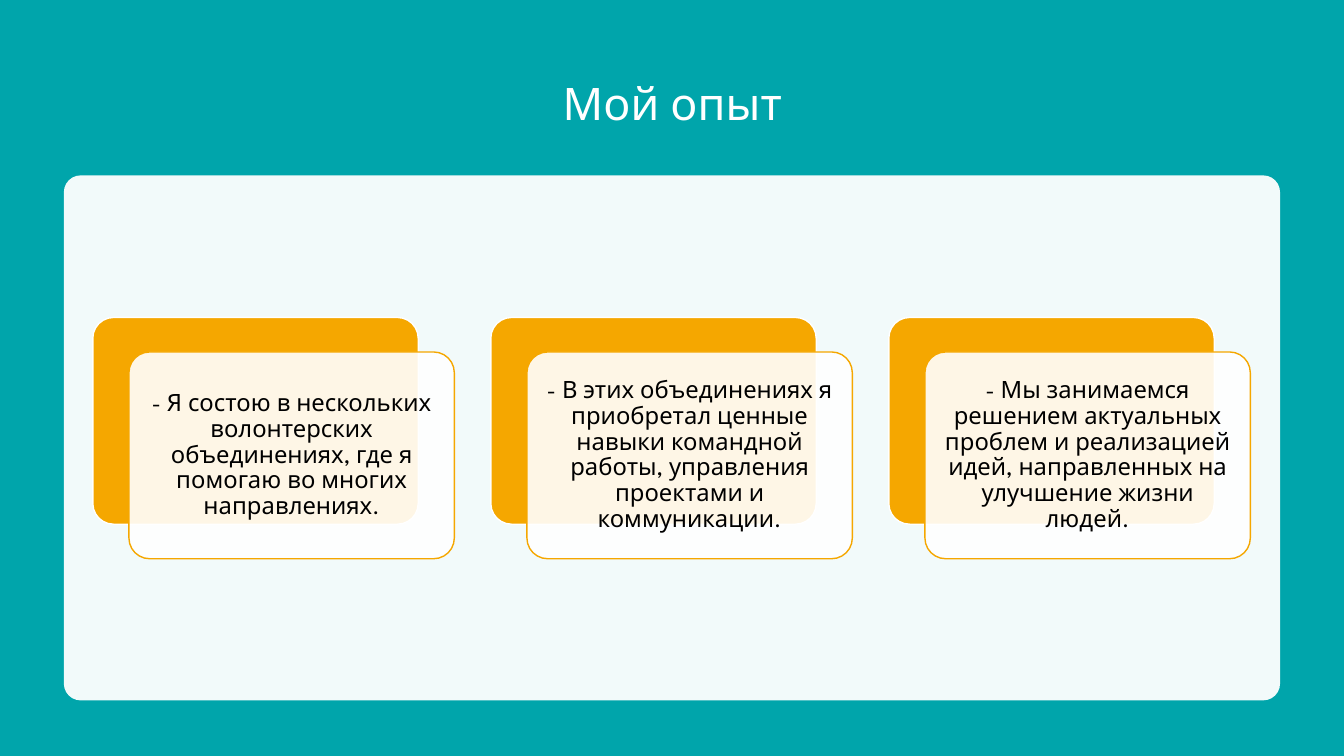
from dataclasses import dataclass

from lxml import etree
from pptx import Presentation
from pptx.dml.color import RGBColor
from pptx.enum.shapes import MSO_SHAPE
from pptx.enum.text import MSO_ANCHOR, MSO_AUTO_SIZE, PP_ALIGN
from pptx.oxml.ns import qn
from pptx.shapes.autoshape import Shape
from pptx.slide import Slide
from pptx.text.text import TextFrame
from pptx.util import Cm, Pt

ROUNDED = MSO_SHAPE.ROUNDED_RECTANGLE
MIDDLE = MSO_ANCHOR.MIDDLE
CENTER = PP_ALIGN.CENTER
NO_AUTOFIT = MSO_AUTO_SIZE.NONE

TEAL = RGBColor(0x00, 0xA5, 0xAB)
ORANGE = RGBColor(0xF5, 0xA7, 0x00)
WHITE = RGBColor(0xFF, 0xFF, 0xFF)
BLACK = RGBColor(0x00, 0x00, 0x00)
FONT = "League Spartan"

CARD_LEFT, CARD_TOP = 2.34, 8.0
CARD_WIDTH, CARD_HEIGHT = 8.2, 5.21
CARD_PITCH = 10.03
SHIFT_X, SHIFT_Y = 0.91, 0.87


@dataclass(frozen=True)
class Box:
    left: float
    top: float
    width: float
    height: float
    radius: float
    fill: RGBColor
    opacity: int = 100
    line: RGBColor | None = None


EXPERIENCE = [
    "- Я состою в нескольких волонтерских объединениях, где я помогаю во многих направлениях.",
    "- В этих объединениях я приобретал ценные навыки командной работы, управления проектами и коммуникации.",
    "- Мы занимаемся решением актуальных проблем и реализацией идей, направленных на улучшение жизни людей.",
]


def add_box(s: Slide, box: Box) -> Shape:
    sp = s.shapes.add_shape(
        ROUNDED, Cm(box.left), Cm(box.top), Cm(box.width), Cm(box.height))
    sp.adjustments[0] = box.radius
    sp.shadow.inherit = False
    sp.fill.solid()
    sp.fill.fore_color.rgb = box.fill
    if box.opacity < 100:
        color = sp._element.spPr.find(qn("a:solidFill")).find(qn("a:srgbClr"))
        etree.SubElement(color, qn("a:alpha"), val=str(box.opacity * 1000))
    if box.line is None:
        sp.line.fill.background()
    else:
        sp.line.color.rgb = box.line
        sp.line.width = Pt(1)
    return sp


def write(tf: TextFrame, text: str, size: int, color: RGBColor) -> None:
    tf.word_wrap = True
    tf.auto_size = NO_AUTOFIT
    tf.vertical_anchor = MIDDLE
    p = tf.paragraphs[0]
    p.alignment = CENTER
    p.line_spacing = 0.9
    r = p.add_run()
    r.text = text
    r.font.name = FONT
    r.font.size = Pt(size)
    r.font.color.rgb = color


def add_card(s: Slide, index: int, text: str) -> None:
    left = CARD_LEFT + index * CARD_PITCH
    add_box(s, Box(left, CARD_TOP, CARD_WIDTH, CARD_HEIGHT, 0.1, ORANGE, line=WHITE))
    sp = add_box(s, Box(left + SHIFT_X, CARD_TOP + SHIFT_Y, CARD_WIDTH, CARD_HEIGHT,
                        0.1, WHITE, 90, ORANGE))
    tf = sp.text_frame
    tf.margin_left = tf.margin_right = tf.margin_top = tf.margin_bottom = Cm(0.18)
    write(tf, text, 17, BLACK)


def main() -> None:
    prs = Presentation()
    prs.slide_width, prs.slide_height = Cm(33.87), Cm(19.05)
    s = prs.slides.add_slide(prs.slide_layouts[5])
    s.background.fill.solid()
    s.background.fill.fore_color.rgb = TEAL

    title = s.shapes.title
    title.left, title.top = Cm(2.34), Cm(1.27)
    title.width, title.height = Cm(29.21), Cm(2.79)
    write(title.text_frame, "Мой опыт", 32, WHITE)

    add_box(s, Box(1.61, 4.42, 30.65, 13.23, 0.032, WHITE, 95))
    for i, text in enumerate(EXPERIENCE):
        add_card(s, i, text)

    prs.save("out.pptx")


if __name__ == "__main__":
    main()
